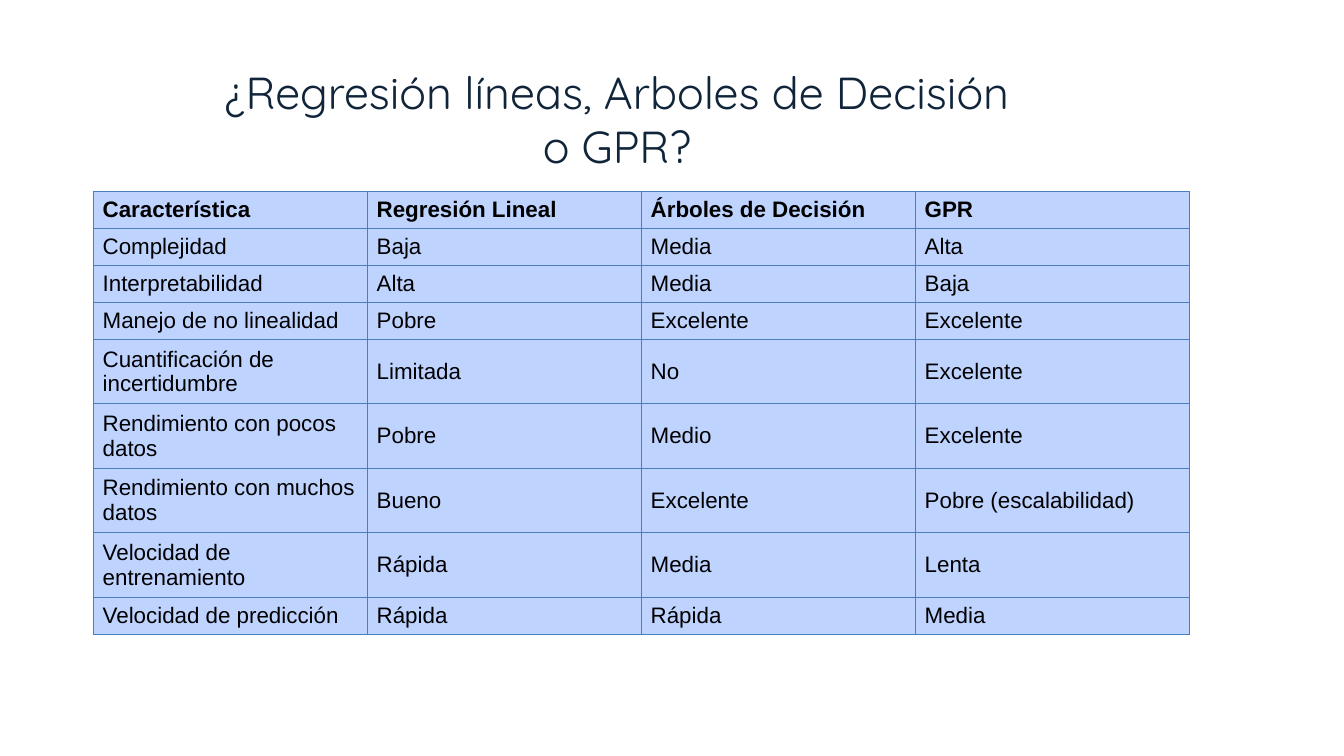
from lxml.etree import SubElement
from pptx import Presentation
from pptx.dml.color import RGBColor
from pptx.enum.text import MSO_ANCHOR, PP_ALIGN
from pptx.oxml.ns import qn
from pptx.util import Pt

TITLE = ["¿Regresión líneas, Arboles de Decisión", "o GPR?"]
ROWS = [
    ("Característica", "Regresión Lineal", "Árboles de Decisión", "GPR"),
    ("Complejidad", "Baja", "Media", "Alta"),
    ("Interpretabilidad", "Alta", "Media", "Baja"),
    ("Manejo de no linealidad", "Pobre", "Excelente", "Excelente"),
    ("Cuantificación de incertidumbre", "Limitada", "No", "Excelente"),
    ("Rendimiento con pocos datos", "Pobre", "Medio", "Excelente"),
    ("Rendimiento con muchos datos", "Bueno", "Excelente", "Pobre (escalabilidad)"),
    ("Velocidad de entrenamiento", "Rápida", "Media", "Lenta"),
    ("Velocidad de predicción", "Rápida", "Rápida", "Media"),
]
NAVY = RGBColor(0x10, 0x24, 0x3A)
BLACK = RGBColor(0, 0, 0)
PALE = RGBColor(0xBF, 0xD3, 0xFF)
BLUE = RGBColor(0x4B, 0x7E, 0xBC)
PX = 9144
COL, LOW, TALL = 272, 36, 64
WRAP = 24


def px(*nums):
    return [n * PX for n in nums]


def style(par, face, size, color, bold=False):
    for run in par.runs:
        font = run.font
        font.name, font.size, font.bold = face, Pt(size), bold
        font.color.rgb = color


def border(cell):
    props = cell._tc.get_or_add_tcPr()
    for side in ("lnL", "lnR", "lnT", "lnB"):
        line = SubElement(props, qn("a:" + side), w=str(Pt(0.75)))
        fill = SubElement(line, qn("a:solidFill"))
        SubElement(fill, qn("a:srgbClr"), val=str(BLUE))


deck = Presentation()
deck.slide_width, deck.slide_height = px(1334, 750)
slide = deck.slides.add_slide(deck.slide_layouts[6])

frame = slide.shapes.add_textbox(*px(-35, 59, 1295, 118)).text_frame
frame.word_wrap = True
frame.text = "\n".join(TITLE)
for par in frame.paragraphs:
    par.alignment = PP_ALIGN.CENTER
    style(par, "Quicksand", 32, NAVY)

tall = [len(row[0]) > WRAP for row in ROWS]
highs = [TALL if flag else LOW for flag in tall]
cols = len(ROWS[0])
table = slide.shapes.add_table(
    len(ROWS), cols, *px(93, 190, COL * cols, sum(highs))).table
table.horz_banding = False
for col in table.columns:
    col.width = COL * PX
for r, row in enumerate(ROWS):
    table.rows[r].height = highs[r] * PX
    for c, word in enumerate(row):
        cell = table.cell(r, c)
        cell.text = word
        cell.vertical_anchor = MSO_ANCHOR.MIDDLE
        cell.margin_left, cell.margin_right = px(9, 9)
        cell.margin_top, cell.margin_bottom = px(5, 5)
        border(cell)
        cell.fill.solid()
        cell.fill.fore_color.rgb = PALE
        style(cell.text_frame.paragraphs[0], "Arial", 16, BLACK, r == 0)

deck.save("out.pptx")
